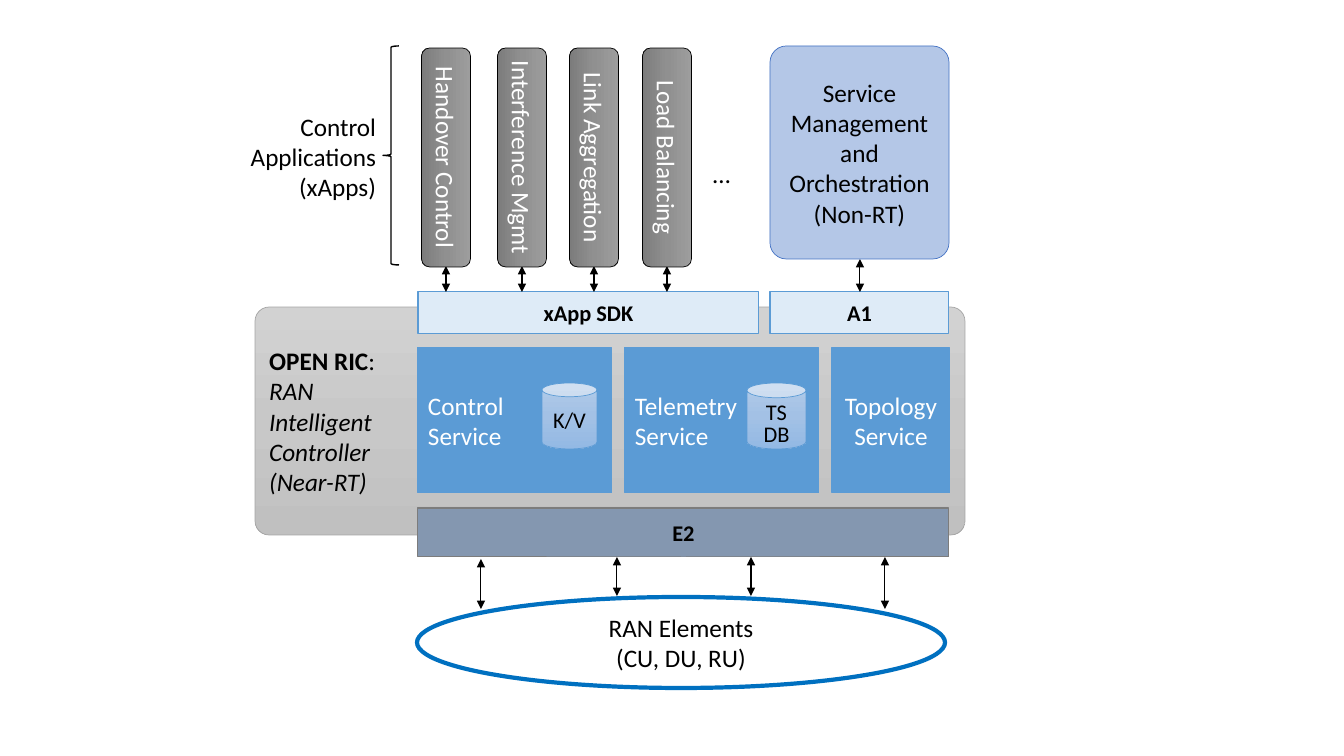
from lxml.etree import SubElement
from pptx import Presentation
from pptx.dml.color import RGBColor
from pptx.enum.shapes import MSO_CONNECTOR, MSO_SHAPE
from pptx.enum.text import MSO_ANCHOR, PP_ALIGN
from pptx.oxml.ns import qn
from pptx.util import Pt

PX = 914400 / 100.8
FONT = "Calibri"
LEFT, CENTER, RIGHT = PP_ALIGN.LEFT, PP_ALIGN.CENTER, PP_ALIGN.RIGHT

BLACK = RGBColor(0x00, 0x00, 0x00)
WHITE = RGBColor(0xFF, 0xFF, 0xFF)
BLUE = RGBColor(0x5B, 0x9B, 0xD5)
PALE_BLUE = RGBColor(0xDE, 0xEB, 0xF7)
PERIWINKLE = RGBColor(0xB4, 0xC7, 0xE7)
ROYAL = RGBColor(0x44, 0x72, 0xC4)
RING = RGBColor(0x00, 0x70, 0xC0)
SLATE = RGBColor(0x84, 0x97, 0xB0)
GRAY = RGBColor(0x7C, 0x7C, 0x7C)
SILVER = RGBColor(0xA5, 0xA5, 0xA5)
# Gradients run from top to bottom, evenly spaced
PANEL_GRAD = [RGBColor(v, v, v) for v in (0xD2, 0xC8, 0xC0)]
XAPP_GRAD = [RGBColor(v, v, v) for v in (0x9D, 0x90, 0x7C)]
STORE_GRAD = [RGBColor(0xB1, 0xCB, 0xE9), RGBColor(0xA3, 0xC1, 0xE5),
              RGBColor(0x93, 0xB9, 0xE4)]

# Content: a paragraph is a string or a list of (text, style) runs
RIC = [[("OPEN RIC", "b"), (":", "")]] + [
    [(t, "i")] for t in ("RAN", "Intelligent", "Controller", "(Near-RT)")]
XAPPS = [("Handover Control", 446), ("Interference Mgmt", 522),
         ("Link Aggregation", 594), ("Load Balancing", 667)]
SERVICES = [(["Control", "Service"], 418, 194, LEFT),
            (["Telemetry", "Service"], 625, 194, LEFT),
            (["Topology", "Service"], 832, 118, CENTER)]
STORES = [(["K/V"], 542, 55, 5), (["TS", "DB"], 747, 59, 16)]
INTERFACES = [("xApp SDK", 418, 292, 341, 42, PALE_BLUE, BLUE),
              ("A1", 770, 292, 179, 42, PALE_BLUE, BLUE),
              ("E2", 418, 508, 531, 49, SLATE, GRAY)]
SMO = ["Service Management", "and", "Orchestration", "(Non-RT)"]
RAN = ["RAN Elements", "(CU, DU, RU)"]
# Arrows: x, top, bottom, line width
ARROWS = [(x, 266, 292, 1.5) for _, x in XAPPS] + [
    (860, 259, 292, 0.75), (481, 559, 609, 0.75), (617, 557, 596, 0.75),
    (751, 557, 596, 0.75), (885, 557, 609, 0.75)]

prs = Presentation()
prs.slide_width, prs.slide_height = round(1344 * PX), round(756 * PX)
s = prs.slides.add_slide(prs.slide_layouts[6])


def emu(*px):
    return [round(v * PX) for v in px]


def write(sp, paras, size=18, color=BLACK, align=CENTER, style="",
          anchor=MSO_ANCHOR.MIDDLE, top=5, spacing=None, wrap=True):
    tf = sp.text_frame
    tf.word_wrap, tf.vertical_anchor = wrap, anchor
    tf.margin_left, tf.margin_right, tf.margin_top, tf.margin_bottom = emu(10, 10, top, 5)
    for i, para in enumerate(paras):
        p = tf.add_paragraph() if i else tf.paragraphs[0]
        p.alignment = align
        if spacing:
            p.line_spacing = spacing
        for text, look in [(para, style)] if isinstance(para, str) else para:
            r = p.add_run()
            r.text = text
            r.font.name, r.font.size, r.font.color.rgb = FONT, Pt(size), color
            r.font.bold, r.font.italic = look == "b", look == "i"


def shape(kind, box, fill, line, width, adj=None):
    sp = s.shapes.add_shape(kind, *emu(*box))
    sp.shadow.inherit = False
    if adj is not None:
        sp.adjustments[0] = adj
    if fill is None:
        sp.fill.background()
    elif isinstance(fill, list):
        sp.fill.gradient()
        sp.fill.gradient_angle = 270
        stops = sp._element.spPr.find(".//" + qn("a:gsLst"))
        for gs in list(stops):
            stops.remove(gs)
        for i, color in enumerate(fill):
            gs = SubElement(stops, qn("a:gs"), pos=str(100000 * i // (len(fill) - 1)))
            SubElement(gs, qn("a:srgbClr"), val=str(color))
    else:
        sp.fill.solid()
        sp.fill.fore_color.rgb = fill
    sp.line.color.rgb, sp.line.width = line, Pt(width)
    return sp


def arrow(x, top, bottom, width):
    cx = s.shapes.add_connector(MSO_CONNECTOR.STRAIGHT, *emu(x, top, x, bottom))
    cx.line.color.rgb, cx.line.width = BLACK, Pt(width)
    for end in ("a:headEnd", "a:tailEnd"):
        SubElement(cx.line._get_or_add_ln(), qn(end), type="triangle")
    SubElement(cx._element.spPr, qn("a:effectLst"))


# RAN elements and controller panel
write(shape(MSO_SHAPE.OVAL, (417, 597, 528, 91), WHITE, RING, 3), RAN)
write(shape(MSO_SHAPE.ROUNDED_RECTANGLE, (255, 307, 710, 228), PANEL_GRAD,
            SILVER, 0.5, 0.062), RIC, align=LEFT)

# Services with their data stores
for paras, x, w, align in SERVICES:
    write(shape(MSO_SHAPE.RECTANGLE, (x, 348, w, 145), BLUE, BLUE, 0.75),
          paras, color=WHITE, align=align)
for paras, x, w, top in STORES:
    write(shape(MSO_SHAPE.CAN, (x, 383, w, 66), STORE_GRAD, BLUE, 0.5), paras, 16,
          top=top, spacing=0.8 if len(paras) > 1 else None)

# Interfaces
for name, x, y, w, h, fill, line in INTERFACES:
    write(shape(MSO_SHAPE.RECTANGLE, (x, y, w, h), fill, line, 0.75),
          [name], 16, style="b")

# Control applications
for args in ARROWS:
    arrow(*args)
for name, x in XAPPS:
    sp = shape(MSO_SHAPE.ROUNDED_RECTANGLE, (x - 109.5, 133, 219, 49),
               XAPP_GRAD, BLACK, 0.5)
    sp.rotation = 90
    write(sp, [name], color=WHITE)
shape(MSO_SHAPE.LEFT_BRACE, (383, 46, 16, 219), None, BLACK, 1)
write(s.shapes.add_textbox(*emu(233, 101, 153, 109)),
      ["Control", "Applications (xApps)"], align=RIGHT, anchor=MSO_ANCHOR.TOP, top=10)
write(s.shapes.add_textbox(*emu(703, 153, 38, 40)), ["…"], align=LEFT,
      anchor=MSO_ANCHOR.TOP, wrap=False)

# Service management
write(shape(MSO_SHAPE.ROUNDED_RECTANGLE, (770, 46, 179, 213), PERIWINKLE,
            ROYAL, 0.5, 0.091), SMO)

prs.save("out.pptx")
